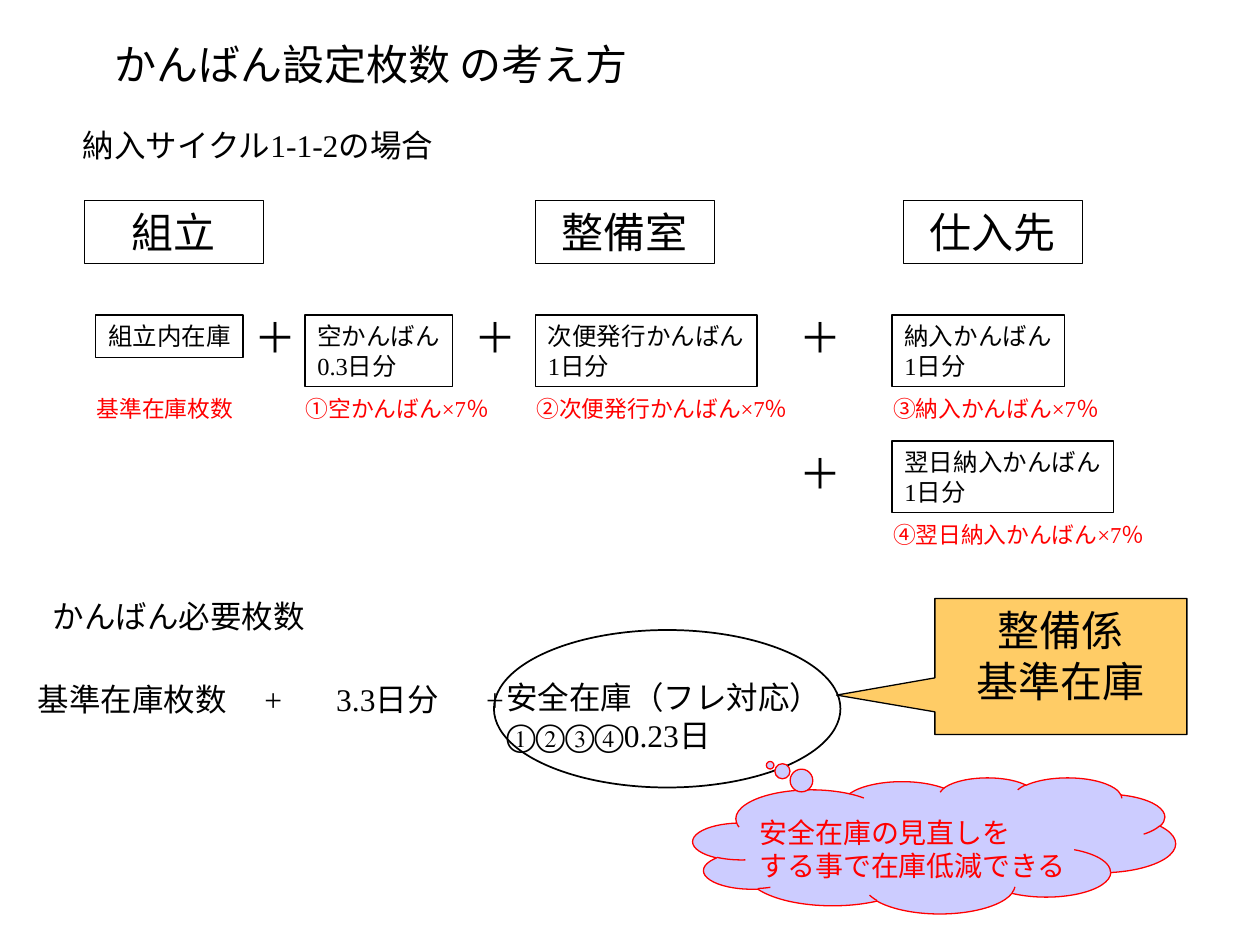
"""Build the slide on how the number of kanban cards is set."""
from lxml import etree
from pptx import Presentation
from pptx.dml.color import RGBColor
from pptx.enum.shapes import MSO_SHAPE
from pptx.enum.text import MSO_ANCHOR, PP_ALIGN
from pptx.oxml.ns import qn
from pptx.util import Inches, Pt

RECTANGLE, ELLIPSE = MSO_SHAPE.RECTANGLE, MSO_SHAPE.OVAL
CALLOUT, CLOUD = MSO_SHAPE.RECTANGULAR_CALLOUT, MSO_SHAPE.CLOUD_CALLOUT
TOP, MIDDLE = MSO_ANCHOR.TOP, MSO_ANCHOR.MIDDLE
LEFT, CENTER = PP_ALIGN.LEFT, PP_ALIGN.CENTER
BLACK = RGBColor(0x00, 0x00, 0x00)
WHITE = RGBColor(0xFF, 0xFF, 0xFF)
RED = RGBColor(0xFF, 0x00, 0x00)
ORANGE = RGBColor(0xFF, 0xCC, 0x66)
LAVENDER = RGBColor(0xCC, 0xCC, 0xFF)
FONT = "Times New Roman"

STAGES = [("組立", 0.67), ("整備室", 4.25), ("仕入先", 7.17)]
STAGE_TOP, STAGE_WIDTH, STAGE_HEIGHT = 1.59, 1.42, 0.5

STOCKS = [
    ("組立内在庫", "基準在庫枚数", 0.76, 2.5, 1.17, 1.28),
    ("空かんばん\n0.3日分", "①空かんばん×7％", 2.42, 2.5, 1.17, 1.74),
    ("次便発行かんばん\n1日分", "②次便発行かんばん×7％", 4.25, 2.5, 1.76, 2.28),
    ("納入かんばん\n1日分", "③納入かんばん×7％", 7.08, 2.5, 1.37, 1.92),
    ("翌日納入かんばん\n1日分", "④翌日納入かんばん×7％", 7.08, 3.5, 1.76, 2.28),
]
STOCK_PADDING, STOCK_LINE = 0.1, 0.235
NOTE_SHIFT, NOTE_DROP = 0.09, 0.58

PLUSES = [(1.92, 2.42), (3.67, 2.42), (6.25, 2.42), (6.25, 3.5)]

LABELS = [
    ("かんばん設定枚数 の考え方", (0.81, 0.26, 4.4, 0.5), 24, BLACK),
    ("納入サイクル1-1-2の場合", (0.56, 0.95, 3.11, 0.4), 18, BLACK),
    ("かんばん必要枚数", (0.32, 4.69, 2.2, 0.4), 18, BLACK),
    ("安全在庫（フレ対応）\n①②③④0.23日", (3.92, 5.33, 2.7, 0.7), 18, BLACK),
]
FORMULA = ["基準在庫枚数", "+", "3.3日分", "+"]
FORMULA_STOPS = [1.8, 2.37, 3.56]
REVIEW = "安全在庫の見直しを\nする事で在庫低減できる"


def write(shape, text, size, color=BLACK, align=LEFT, anchor=TOP, wrap=False):
    frame = shape.text_frame
    frame.text = text
    frame.word_wrap = wrap
    frame.vertical_anchor = anchor
    for paragraph in frame.paragraphs:
        paragraph.alignment = align
        for run in paragraph.runs:
            run.font.name = FONT
            run.font.size = Pt(size)
            run.font.color.rgb = color


def add_label(slide, text, place, size, color=BLACK, wrap=False):
    label = slide.shapes.add_textbox(*map(Inches, place))
    write(label, text, size, color, wrap=wrap)
    return label


def add_outline(slide, kind, place, fill=None, line=BLACK, weight=0.75):
    shape = slide.shapes.add_shape(kind, *map(Inches, place))
    shape.shadow.inherit = False
    if fill is None:
        shape.fill.background()
    else:
        shape.fill.solid()
        shape.fill.fore_color.rgb = fill
    shape.line.color.rgb = line
    shape.line.width = Pt(weight)
    return shape


def point_to(callout, across, down):
    callout.adjustments[0] = across
    callout.adjustments[1] = down


def add_tab_stops(paragraph, stops):
    properties = paragraph._p.get_or_add_pPr()
    tabs = etree.SubElement(properties, qn("a:tabLst"))
    for stop in stops:
        etree.SubElement(tabs, qn("a:tab"), pos=str(Inches(stop)), algn="l")


def main():
    presentation = Presentation()
    presentation.slide_width, presentation.slide_height = Inches(10), Inches(7.5)
    slide = presentation.slides.add_slide(presentation.slide_layouts[6])

    for name, left in STAGES:
        place = (left, STAGE_TOP, STAGE_WIDTH, STAGE_HEIGHT)
        stage = add_outline(slide, RECTANGLE, place, WHITE)
        write(stage, name, 24, align=CENTER, anchor=MIDDLE, wrap=True)

    for name, note, left, top, width, note_width in STOCKS:
        height = STOCK_PADDING + STOCK_LINE * len(name.split("\n"))
        stock = add_outline(slide, RECTANGLE, (left, top, width, height))
        write(stock, name, 14)
        note_place = (left - NOTE_SHIFT, top + NOTE_DROP, note_width, 0.32)
        add_label(slide, note, note_place, 13, RED)

    for left, top in PLUSES:
        add_label(slide, "＋", (left, top, 0.53, 0.5), 24)

    for label in LABELS:
        add_label(slide, *label, wrap=True)

    formula = add_label(slide, "\t".join(FORMULA), (0.2, 5.35, 4.46, 0.4), 18, wrap=True)
    add_tab_stops(formula.text_frame.paragraphs[0], FORMULA_STOPS)

    add_outline(slide, ELLIPSE, (3.92, 5, 2.75, 1.25), weight=1)
    keeper = add_outline(slide, CALLOUT, (7.42, 4.75, 2, 1.08), ORANGE)
    point_to(keeper, -0.89, 0.21)
    write(keeper, "整備係\n基準在庫", 24, align=CENTER, wrap=True)

    cloud = add_outline(slide, CLOUD, (5.5, 6.17, 3.83, 1.08), LAVENDER, RED)
    point_to(cloud, -0.34, -0.59)
    add_label(slide, REVIEW, (5.93, 6.42, 2.64, 0.64), 16, RED)

    presentation.save("out.pptx")


if __name__ == "__main__":
    main()
